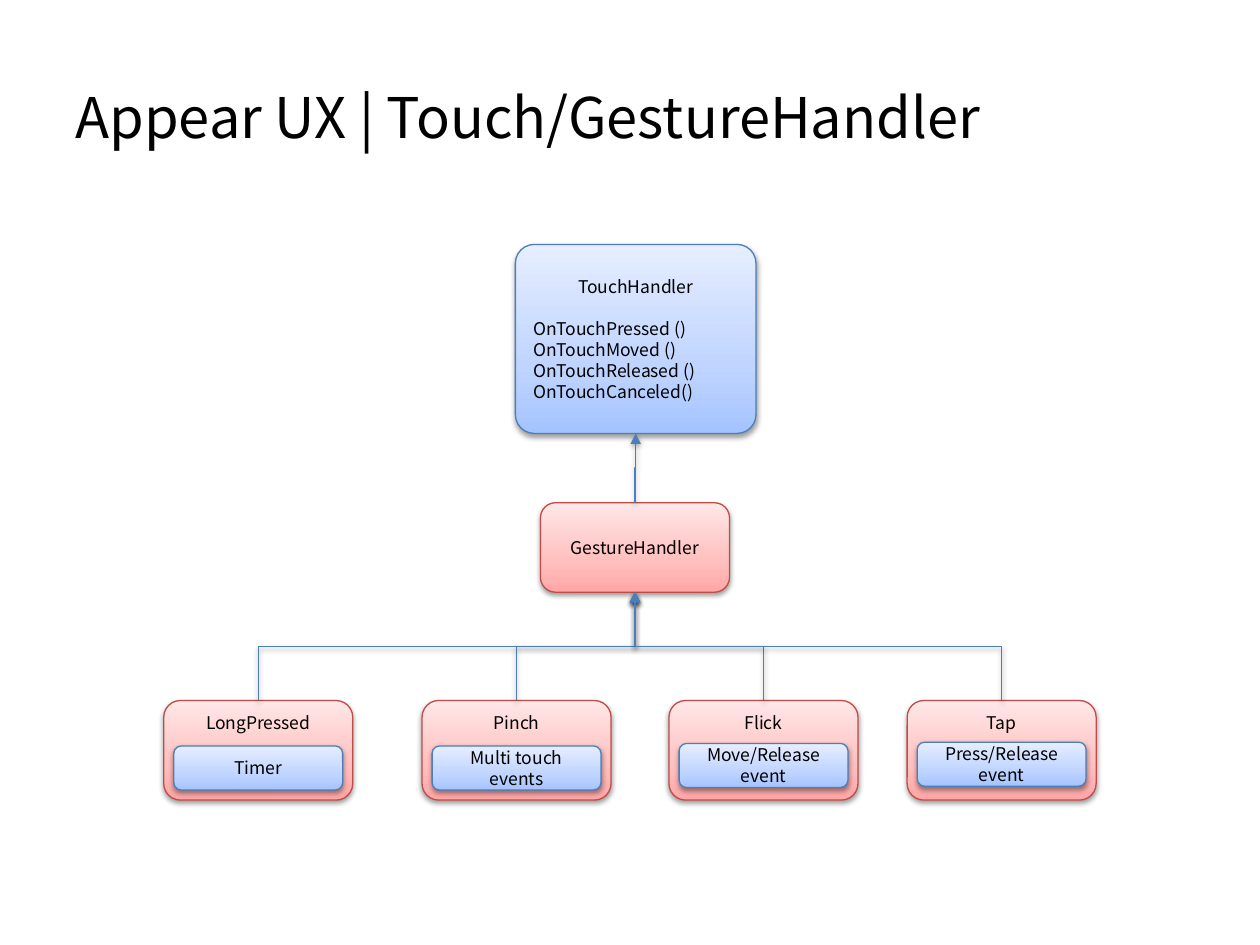
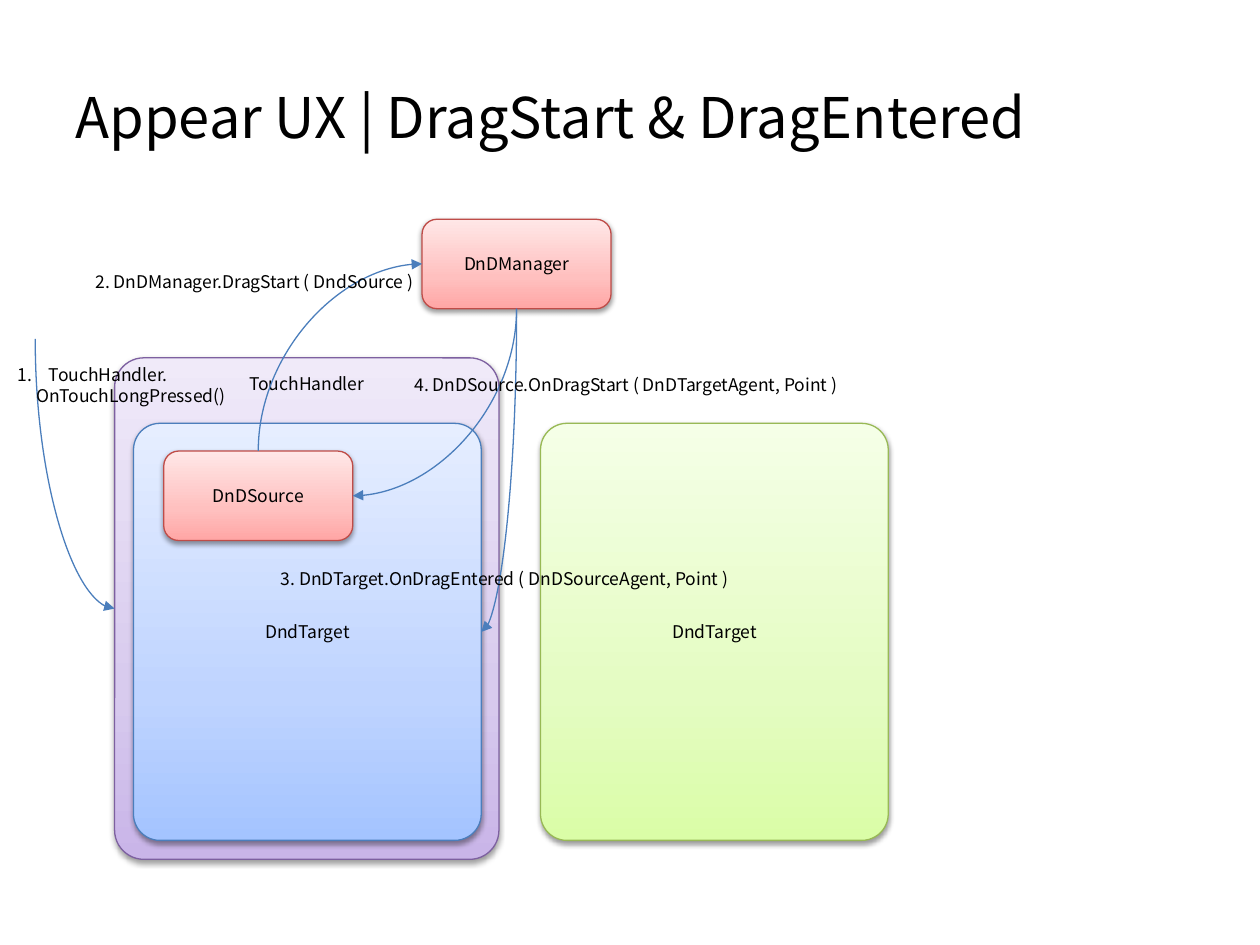
from copy import deepcopy
from dataclasses import dataclass

from lxml.etree import SubElement
from pptx import Presentation
from pptx.dml.color import RGBColor
from pptx.enum.shapes import MSO_CONNECTOR, MSO_SHAPE
from pptx.enum.text import MSO_ANCHOR, MSO_AUTO_SIZE, PP_ALIGN
from pptx.oxml.ns import qn
from pptx.util import Inches, Pt


@dataclass(frozen=True)
class Theme:
    font: str = "Noto Sans CJK KR"
    title_size: int = 32
    body_size: int = 10
    text: str = "000000"
    line_width: float = 0.75
    arrow: str = "4B7EBC"
    # Outline, then gradient colours from bottom to top
    blue: tuple = ("4B7EBC", "A4C4FF", "BFD4FF", "E6EEFF")
    red: tuple = ("BF4C48", "FFA6A5", "FFC0BF", "FFE7E7")
    purple: tuple = ("7D60A0", "C9B5E8", "D8CBEE", "F0EAF9")
    green: tuple = ("98B955", "DAFDA7", "E4FCC2", "F5FFE7")
    stops: tuple = (0, 0.35, 1)


THEME = Theme()
TOP, LEFT, BOTTOM, RIGHT = range(4)
BOX = (1.5, 0.71)
TARGET = (2.76, 3.31)
PANEL_ADJ = 0.076

# Content: touch and gesture classes
TOUCH_METHODS = ["OnTouchPressed ()", "OnTouchMoved ()",
                 "OnTouchReleased ()", "OnTouchCanceled()"]
# name, left, trigger, trigger top
GESTURES = [
    ("LongPressed", 1.3, "Timer", 5.92),
    ("Pinch", 3.35, "Multi touch events", 5.92),
    ("Flick", 5.31, "Move/Release event", 5.9),
    ("Tap", 7.2, "Press/Release event", 5.89),
]

# Content: drag and drop objects: key, text, place, palette, corner, anchor
DRAG_BOXES = [
    ("touch", "TouchHandler", (0.91, 2.84, 3.05, 3.98), THEME.purple, PANEL_ADJ, MSO_ANCHOR.TOP),
    ("manager", "DnDManager", (3.35, 1.74, *BOX), THEME.red, None, MSO_ANCHOR.MIDDLE),
    ("target", "DndTarget", (1.06, 3.36, *TARGET), THEME.blue, PANEL_ADJ, MSO_ANCHOR.MIDDLE),
    ("other", "DndTarget", (4.29, 3.36, *TARGET), THEME.green, PANEL_ADJ, MSO_ANCHOR.MIDDLE),
    ("source", "DnDSource", (1.3, 3.58, *BOX), THEME.red, None, MSO_ANCHOR.MIDDLE),
]
TOUCH_START = (0.28, 2.69)
DRAG_CALLS = [
    (("source", TOP), ("manager", LEFT)),
    (("manager", BOTTOM), ("target", RIGHT)),
    (None, ("touch", LEFT)),
    (("manager", BOTTOM), ("source", RIGHT)),
]
DRAG_LABELS = [
    (["2. DnDManager.DragStart ( DndSource )"], (0.66, 2.1, 2.77, 0.27)),
    (["3. DnDTarget.OnDragEntered ( DnDSourceAgent, Point )"], (2.13, 4.46, 3.8, 0.27)),
    (["4. DnDSource.OnDragStart ( DnDTargetAgent, Point )"], (3.19, 2.92, 3.61, 0.27)),
]
TOUCH_LABEL = (["TouchHandler.", "OnTouchLongPressed()"], (0.04, 2.84, 1.91, 0.44))


def place(at):
    return [Inches(v) for v in at]


def write(tf, lines, size=THEME.body_size):
    tf.text = "\n".join(lines)
    for p in tf.paragraphs:
        for r in p.runs:
            r.font.name = THEME.font
            r.font.size = Pt(size)
            r.font.color.rgb = RGBColor.from_string(THEME.text)


def set_shadow(s, visible=True):
    effects = SubElement(s._element.spPr, qn("a:effectLst"))
    if visible:
        shadow = SubElement(effects, qn("a:outerShdw"), blurRad=str(Pt(3.1)),
                            dist=str(Pt(1.6)), dir="5400000", rotWithShape="0")
        color = SubElement(shadow, qn("a:srgbClr"), val="000000")
        SubElement(color, qn("a:alpha"), val="38000")


def set_line(s, color):
    s.line.color.rgb = RGBColor.from_string(color)
    s.line.width = Pt(THEME.line_width)


def add_box(slide, lines, at, palette, adj=None, anchor=MSO_ANCHOR.MIDDLE):
    """Rounded gradient box: first line centred, the rest left."""
    s = slide.shapes.add_shape(MSO_SHAPE.ROUNDED_RECTANGLE, *place(at))
    if adj:
        s.adjustments[0] = adj
    outline, *colors = palette
    s.fill.gradient()
    s.fill.gradient_angle = 90
    gs_list = s._element.spPr.find(qn("a:gradFill")).find(qn("a:gsLst"))
    gs_list.insert(1, deepcopy(gs_list[0]))
    for stop, position, color in zip(s.fill.gradient_stops, THEME.stops, colors):
        stop.position = position
        stop.color.rgb = RGBColor.from_string(color)
    set_line(s, outline)
    set_shadow(s)
    tf = s.text_frame
    tf.word_wrap = True
    tf.vertical_anchor = anchor
    write(tf, lines)
    for i, p in enumerate(tf.paragraphs):
        p.alignment = PP_ALIGN.LEFT if i else PP_ALIGN.CENTER
    return s


def add_label(slide, lines, at):
    s = slide.shapes.add_textbox(*place(at))
    tf = s.text_frame
    tf.word_wrap = False
    tf.auto_size = MSO_AUTO_SIZE.SHAPE_TO_FIT_TEXT
    write(tf, lines)
    return s


def add_arrow(slide, kind, begin, end, start=(0, 0), shadow=True):
    """Connector that leaves vertically, turned to suit its direction."""
    x, y = place(start)
    s = slide.shapes.add_connector(kind, x, y, x, y)
    if begin:
        s.begin_connect(*begin)
    s.end_connect(*end)
    x1, y1, x2, y2 = s.begin_x, s.begin_y, s.end_x, s.end_y
    right, up = x2 > x1, y2 < y1
    s.width, s.height = abs(y2 - y1), abs(x2 - x1)
    s.left = (x1 + x2 - s.width) // 2
    s.top = (y1 + y2 - s.height) // 2
    spPr = s._element.spPr
    xfrm = spPr.find(qn("a:xfrm"))
    xfrm.set("rot", str((90 if right == up else 270) * 60000))
    xfrm.set("flipH", str(int(right)))
    xfrm.set("flipV", str(int(up)))
    if kind == MSO_CONNECTOR.CURVE:
        spPr.find(qn("a:prstGeom")).set("prst", "curvedConnector2")
    set_line(s, THEME.arrow)
    SubElement(s.line._get_or_add_ln(), qn("a:tailEnd"), type="triangle")
    set_shadow(s, shadow)


def add_titled_slide(prs, title):
    slide = prs.slides.add_slide(prs.slide_layouts[6])
    tf = slide.shapes.add_textbox(*place((0.5, 0.3, 9, 1.25))).text_frame
    tf.word_wrap = True
    tf.vertical_anchor = MSO_ANCHOR.MIDDLE
    write(tf, [title], THEME.title_size)
    return slide


def build_gesture_slide(prs):
    slide = add_titled_slide(prs, "Appear UX | Touch/GestureHandler")
    # Base classes
    gesture = add_box(slide, ["GestureHandler"], (4.29, 3.99, *BOX), THEME.red)
    touch = add_box(slide, ["TouchHandler", *TOUCH_METHODS],
                    (4.09, 1.94, 1.91, 1.5), THEME.blue, adj=0.1)
    touch.text_frame.paragraphs[1].space_before = Pt(12)
    add_arrow(slide, MSO_CONNECTOR.ELBOW, (gesture, TOP), (touch, BOTTOM))
    # Gestures with the trigger inside each
    for name, left, trigger, trigger_top in GESTURES:
        s = add_box(slide, [name], (left, 5.56, 1.5, 0.79), THEME.red, anchor=MSO_ANCHOR.TOP)
        add_arrow(slide, MSO_CONNECTOR.ELBOW, (s, TOP), (gesture, BOTTOM))
        add_box(slide, [trigger], (left + 0.08, trigger_top, 1.34, 0.35), THEME.blue)


def build_drag_slide(prs):
    slide = add_titled_slide(prs, "Appear UX | DragStart & DragEntered")
    boxes = {key: add_box(slide, [text], *style) for key, text, *style in DRAG_BOXES}
    # Calls between the objects
    for begin, end in DRAG_CALLS:
        add_arrow(slide, MSO_CONNECTOR.CURVE, begin and (boxes[begin[0]], begin[1]),
                  (boxes[end[0]], end[1]), TOUCH_START, shadow=False)
    for lines, at in DRAG_LABELS:
        add_label(slide, lines, at)
    # Numbered first call with an indented second line
    numbered, follow = add_label(slide, *TOUCH_LABEL).text_frame.paragraphs
    pPr = numbered._p.get_or_add_pPr()
    pPr.set("marL", str(Inches(0.25)))
    pPr.set("indent", str(Inches(-0.25)))
    SubElement(pPr, qn("a:buAutoNum"), type="arabicPeriod")
    follow._p.get_or_add_pPr().set("marL", str(Inches(0.15)))


def main():
    prs = Presentation()
    prs.slide_width, prs.slide_height = Inches(10), Inches(7.5)
    build_gesture_slide(prs)
    build_drag_slide(prs)
    prs.save("out.pptx")


if __name__ == "__main__":
    main()
